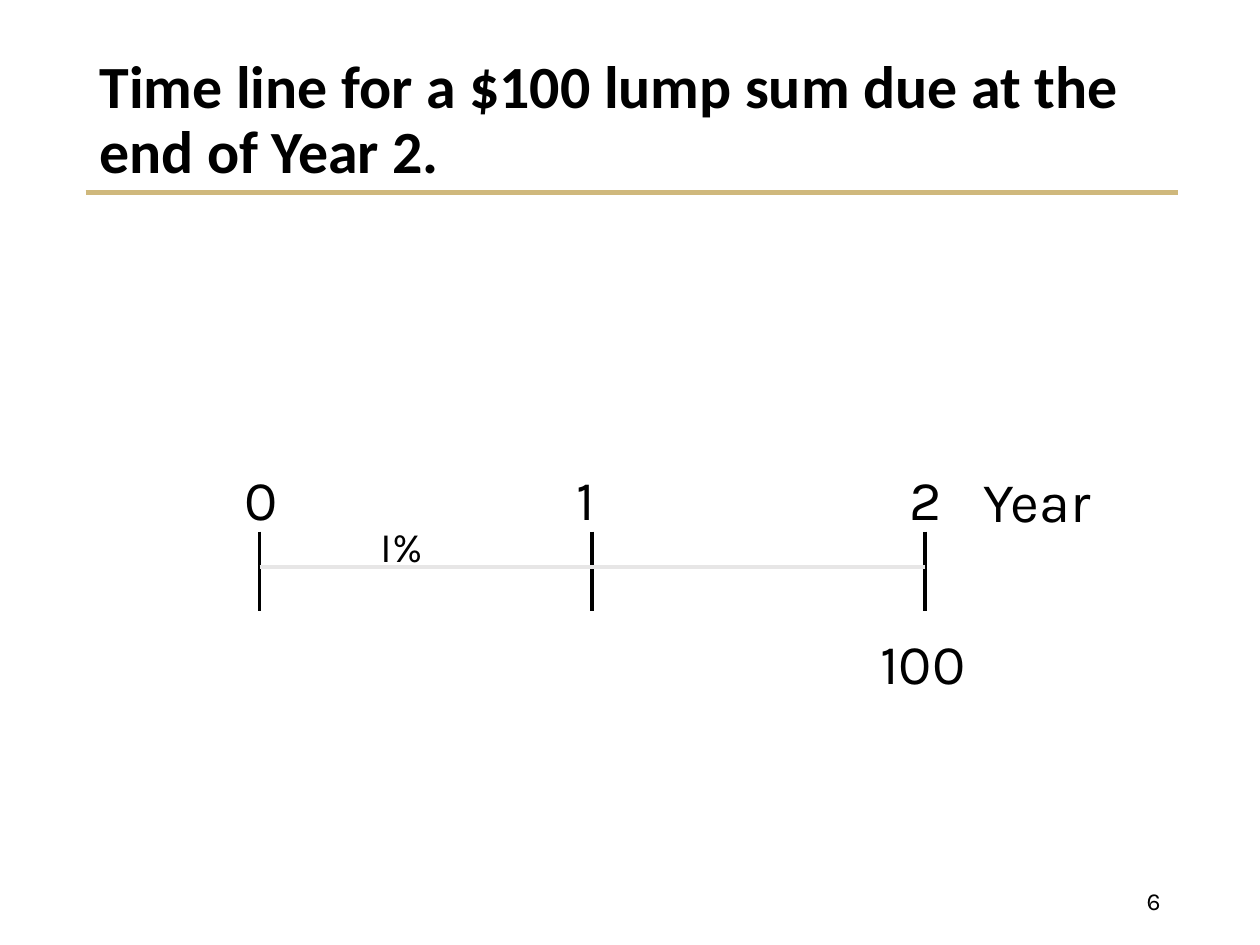
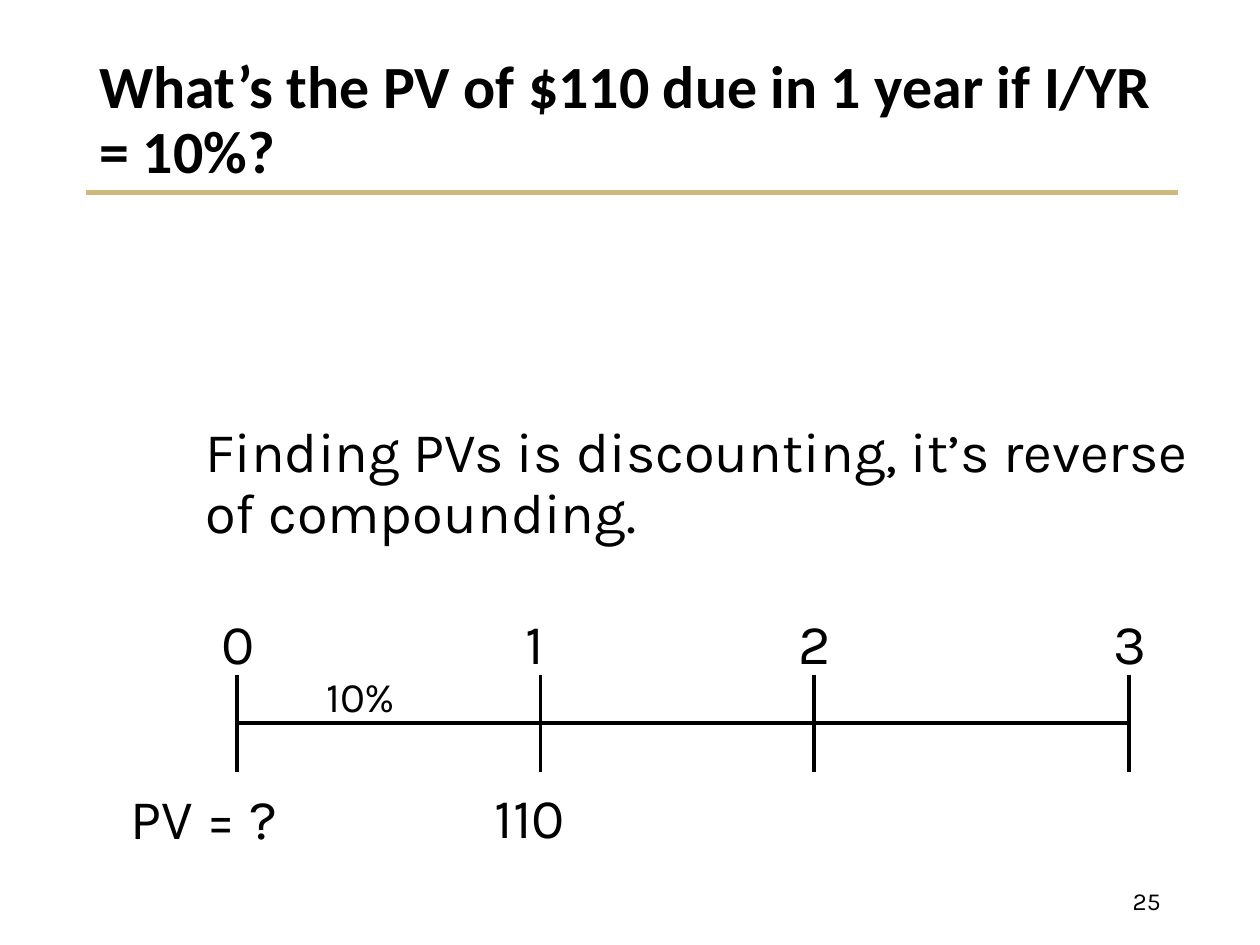
from pptx import Presentation
from pptx.dml.color import RGBColor
from pptx.enum.shapes import MSO_CONNECTOR
from pptx.enum.text import MSO_ANCHOR, PP_ALIGN
from pptx.oxml.ns import qn
from pptx.util import Inches, Pt
from lxml import etree

STRAIGHT = MSO_CONNECTOR.STRAIGHT
MIDDLE, TOP = MSO_ANCHOR.MIDDLE, MSO_ANCHOR.TOP
LEFT, RIGHT = PP_ALIGN.LEFT, PP_ALIGN.RIGHT

BLACK, GOLD, PALE_GRAY = "000000", "CFB87C", "E7E6E6"
TITLE_FONT, BODY_FONT = "Calibri", "Karla"
TITLE_SIZE, LARGE, MEDIUM, SMALL = 34.2, 32, 24, 14
TITLE_ONLY = 5
LABEL_WIDTH, LABEL_HEIGHT, LABEL_RISE = 0.44, 0.63, 0.58

# Each text is (words, (left, top, width, height), size, line spacing).
SLIDES = [
    {
        "title": "Time line for a $100 lump sum due at the end of Year 2.",
        "number": "6",
        "ticks": [2.06 + 2.64 * year for year in range(3)],
        "tick_top": 4.22,
        "tick_bottom": 4.85,
        "axis": 4.5,
        "axis_color": PALE_GRAY,
        "texts": [
            ("Year", (7.71, 3.65, 1.3, 0.63), LARGE, 1),
            ("I%", (2.92, 4.08, 0.65, 0.5), MEDIUM, 1),
            ("100", (6.89, 4.94, 0.93, 0.63), LARGE, 1),
        ],
    },
    {
        "title": "What’s the PV of $110 due in 1 year if I/YR = 10%?",
        "number": "25",
        "ticks": [1.88, 4.29, 6.46, 8.96],
        "tick_top": 5.36,
        "tick_bottom": 6.13,
        "axis": 5.74,
        "axis_color": BLACK,
        "texts": [
            ("Finding PVs is discounting, it’s reverse of compounding.",
             (1.53, 3.32, 8.37, 1.07), LARGE, 0.9),
            ("10%", (2.49, 5.27, 0.89, 0.5), MEDIUM, 1),
            ("PV = ?", (0.94, 6.17, 1.52, 0.63), LARGE, 1),
            ("110", (3.83, 6.16, 0.94, 0.63), LARGE, 1),
        ],
    },
]


def color(hex_string):
    return RGBColor.from_string(hex_string)


def add_line(slide, start, end, line_color, width):
    points = [Inches(value) for value in (*start, *end)]
    line = slide.shapes.add_connector(STRAIGHT, *points)
    line.line.color.rgb = color(line_color)
    line.line.width = Pt(width)
    etree.SubElement(line._element.spPr, qn("a:effectLst"))


def write(shape, words, font_name, size, bold=False, spacing=1,
          alignment=LEFT, anchor=TOP):
    text_frame = shape.text_frame
    text_frame.text = words
    text_frame.word_wrap = True
    text_frame.vertical_anchor = anchor
    paragraph = text_frame.paragraphs[0]
    paragraph.alignment = alignment
    paragraph.line_spacing = spacing
    font = paragraph.runs[0].font
    font.name, font.size, font.bold = font_name, Pt(size), bold
    font.color.rgb = color(BLACK)


def add_text(slide, words, box, size, spacing=1, **layout):
    shape = slide.shapes.add_textbox(*[Inches(value) for value in box])
    write(shape, words, BODY_FONT, size, spacing=spacing, **layout)


def add_frame(presentation, title_words, number):
    """Add a slide with the shared title, gold rule and slide number."""
    slide = presentation.slides.add_slide(presentation.slide_layouts[TITLE_ONLY])
    title = slide.shapes.title
    title.left, title.top = Inches(0.69), Inches(0.4)
    title.width, title.height = Inches(8.62), Inches(1.13)
    write(title, title_words, TITLE_FONT, TITLE_SIZE, bold=True, spacing=0.9,
          anchor=MIDDLE)
    add_line(slide, (0.68, 1.53), (9.35, 1.53), GOLD, 3)
    add_text(slide, number, (7.06, 6.95, 2.25, 0.4), SMALL,
             alignment=RIGHT, anchor=MIDDLE)
    return slide


def add_time_line(slide, content):
    ticks, axis = content["ticks"], content["axis"]
    top, bottom = content["tick_top"], content["tick_bottom"]
    for year, x in enumerate(ticks):
        add_line(slide, (x, top), (x, bottom), BLACK, 2)
        label_box = (x - LABEL_WIDTH / 2, top - LABEL_RISE,
                     LABEL_WIDTH, LABEL_HEIGHT)
        add_text(slide, str(year), label_box, LARGE)
    add_line(slide, (ticks[0], axis), (ticks[-1], axis),
             content["axis_color"], 2)


def main():
    presentation = Presentation()
    presentation.slide_width = Inches(10)
    presentation.slide_height = Inches(7.5)
    for content in SLIDES:
        slide = add_frame(presentation, content["title"], content["number"])
        add_time_line(slide, content)
        for text in content["texts"]:
            add_text(slide, *text)
    presentation.save("out.pptx")


if __name__ == "__main__":
    main()
